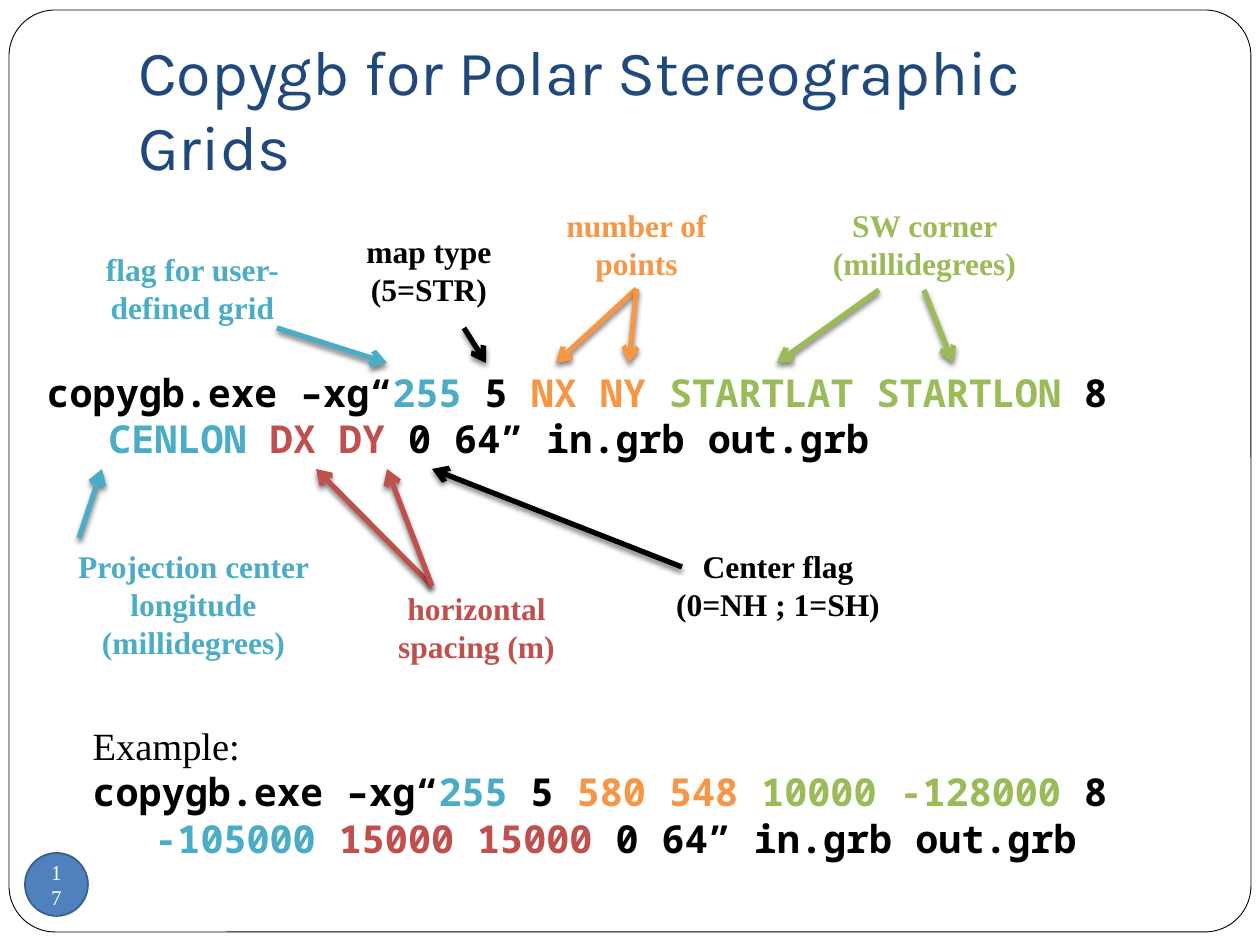
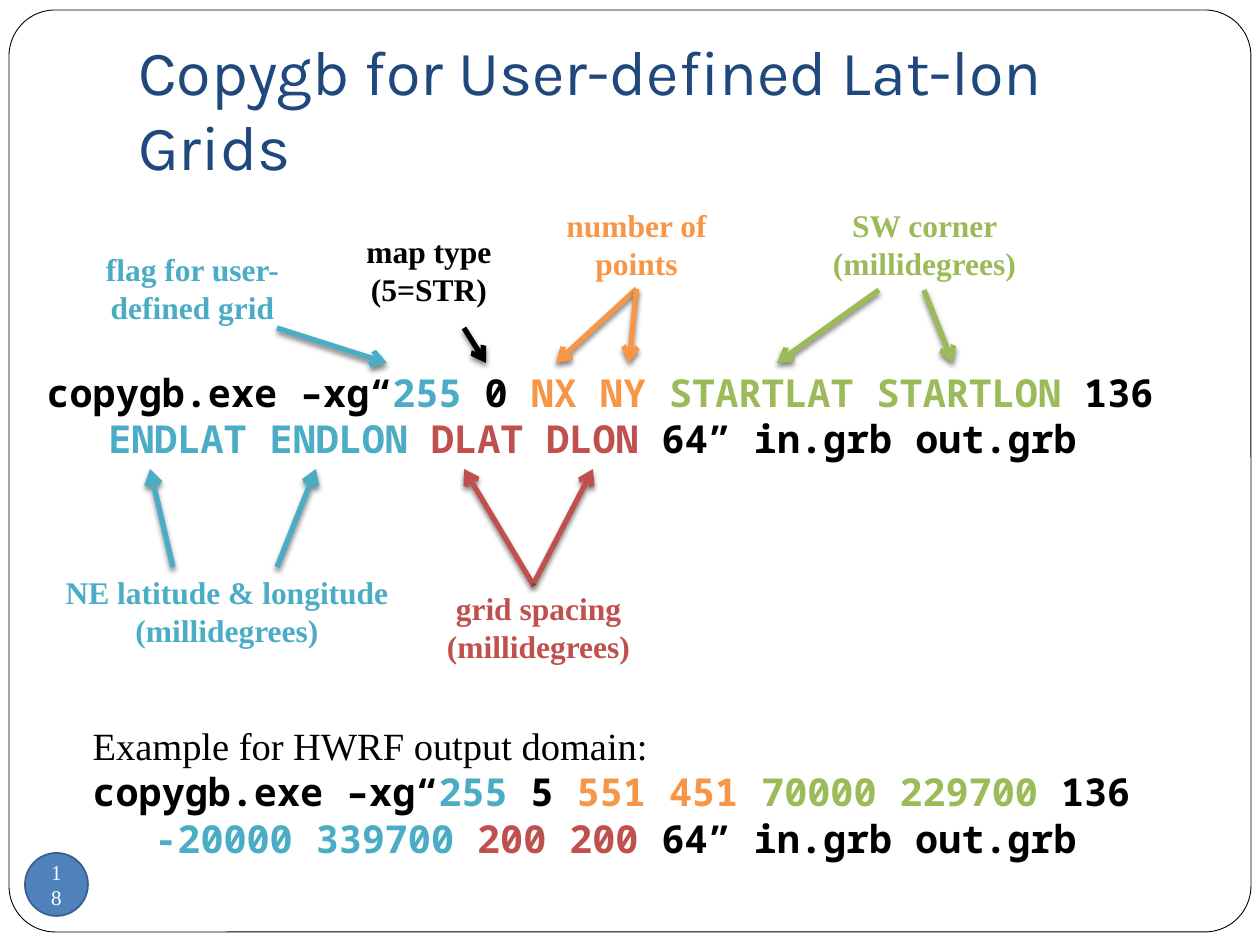
"""Build two annotated slides on the copygb command for user-defined grids."""
from dataclasses import dataclass

from lxml.etree import SubElement
from pptx import Presentation
from pptx.dml.color import RGBColor
from pptx.enum.shapes import MSO_CONNECTOR as Connector, MSO_SHAPE as Shape
from pptx.enum.text import MSO_ANCHOR as Anchor, PP_ALIGN as Align
from pptx.oxml.ns import qn
from pptx.util import Emu, Inches, Pt


@dataclass(frozen=True)
class Theme:
    """Colours, fonts and type sizes shared by the slides."""
    white: str = "FFFFFF"
    black: str = "000000"
    navy: str = "1F497D"
    blue: str = "4F81BD"
    blue_edge: str = "3A5F8C"
    teal: str = "4BACC6"
    orange: str = "F79646"
    green: str = "9BBB59"
    red: str = "C0504D"
    heading: str = "Karla"
    body: str = "Times New Roman"
    code: str = "Noto Sans Mono"
    title_size: int = 36
    code_size: int = 22
    label_size: int = 18
    number_size: int = 12


THEME = Theme()
BLACK, TEAL, ORANGE, GREEN, RED = THEME.black, THEME.teal, THEME.orange, THEME.green, THEME.red

PX_PER_INCH = 126
SLIDE_SIZE = 1260, 945
FRAME = 9, 10, 1242, 922
NUMBER_BADGE = 25, 853, 63, 63
TITLE_BOX = 126, 38, 1071, 158
COMMAND_BOX = 33, 363, 1192, 106
EXAMPLE_BOX = 79, 716, 1192, 152
LABEL_LINE, LABEL_PADDING = 38, 13
BOTTOM_MIDDLE = None

# label: text, colour, (left, top, width), lines, arrows as (start, tip x)
SHARED_LABELS = [
    ("flag for user-defined grid", TEAL, (69, 244, 247), 2, [((277, 328), 387)]),
    ("map type (5=STR)", BLACK, (354, 226, 150), 2, [((464, 328), 486)]),
    ("number of points", ORANGE, (534, 200, 205), 2,
     [(BOTTOM_MIDDLE, 556), (BOTTOM_MIDDLE, 629)]),
    ("SW corner (millidegrees)", GREEN, (809, 200, 231), 2,
     [((879, 290), 777), ((924, 290), 953)]),
]

SLIDES = [
    {
        "number": 17,
        "title": "Copygb for Polar Stereographic Grids",
        "command": [
            ("copygb.exe –xg“", BLACK), ("255 ", TEAL), ("5 ", BLACK), ("NX NY ", ORANGE),
            ("STARTLAT STARTLON", GREEN), (" 8 ", BLACK), ("CENLON ", TEAL),
            ("DX DY ", RED), ("0 64” in.grb out.grb", BLACK),
        ],
        "example_heading": "Example:",
        "example": [
            ("copygb.exe –xg“", BLACK), ("255", TEAL), (" 5 ", BLACK), ("580 548 ", ORANGE),
            ("10000 -128000 ", GREEN), ("8 ", BLACK), ("-105000 ", TEAL),
            ("15000 15000 ", RED), ("0 64” in.grb out.grb", BLACK),
        ],
        "labels": [
            ("Projection center longitude (millidegrees)", TEAL, (50, 541, 287), 3,
             [((79, 538), 102)]),
            ("horizontal spacing (m)", RED, (360, 583, 233), 2,
             [((432, 586), 316), ((432, 586), 387)]),
            ("Center flag\v(0=NH ; 1=SH)", BLACK, (636, 541, 284), 2, [((682, 567), 432)]),
        ],
    },
    {
        "number": 18,
        "title": "Copygb for User-defined Lat-lon Grids",
        "command": [
            ("copygb.exe –xg“", BLACK), ("255 ", TEAL), ("0 ", BLACK), ("NX NY ", ORANGE),
            ("STARTLAT STARTLON", GREEN), (" 136 ", BLACK), ("ENDLAT ENDLON ", TEAL),
            ("DLAT DLON ", RED), ("64” in.grb out.grb", BLACK),
        ],
        "example_heading": "Example for HWRF output domain:",
        "example": [
            ("copygb.exe –xg“", BLACK), ("255", TEAL), (" 5 ", BLACK), ("551 451 ", ORANGE),
            ("70000 229700 ", GREEN), ("136 ", BLACK), ("-20000 339700 ", TEAL),
            ("200 200", RED), (" 64” in.grb out.grb", BLACK),
        ],
        "labels": [
            ("NE latitude & longitude\n(millidegrees)", TEAL, (11, 567, 432), 2,
             [((173, 567), 150), ((277, 567), 316)]),
            ("grid spacing (millidegrees)", RED, (422, 583, 233), 2,
             [((534, 586), 464), ((534, 583), 593)]),
        ],
    },
]


def px(*lengths):
    return [Emu(round(length * 914400 / PX_PER_INCH)) for length in lengths]


def rgb(colour):
    return RGBColor.from_string(colour)


def set_font(font, name, size, colour=None, bold=False):
    font.name, font.size, font.bold = name, Pt(size), bold
    if colour:
        font.color.rgb = rgb(colour)


def add_panel(slide, kind, box, fill, line, line_width):
    shape = slide.shapes.add_shape(kind, *px(*box))
    shape.shadow.inherit = False
    shape.fill.solid()
    shape.fill.fore_color.rgb = rgb(fill)
    shape.line.color.rgb = rgb(line)
    shape.line.width = Pt(line_width)
    return shape


def add_text_box(slide, box):
    shape = slide.shapes.add_textbox(*px(*box))
    shape.text_frame.word_wrap = True
    return shape


def add_base(slide, number, title):
    frame = add_panel(slide, Shape.ROUNDED_RECTANGLE, FRAME, THEME.white, BLACK, 0.5)
    frame.adjustments[0] = 0.05
    badge = add_panel(slide, Shape.OVAL, NUMBER_BADGE, THEME.blue, THEME.blue_edge, 1)
    badge.text_frame.text = str(number)
    paragraph = badge.text_frame.paragraphs[0]
    paragraph.alignment = Align.CENTER
    set_font(paragraph.font, THEME.body, THEME.number_size, THEME.white)

    text_frame = add_text_box(slide, TITLE_BOX).text_frame
    text_frame.vertical_anchor = Anchor.BOTTOM
    text_frame.margin_bottom = Inches(0.1)
    text_frame.text = title
    set_font(text_frame.paragraphs[0].font, THEME.heading, THEME.title_size, THEME.navy)


def hang(paragraph):
    properties = paragraph._p.get_or_add_pPr()
    properties.set("marL", str(Inches(0.5)))
    properties.set("indent", str(Inches(-0.49)))


def write_command(paragraph, parts):
    hang(paragraph)
    set_font(paragraph.font, THEME.code, THEME.code_size, bold=True)
    for text, colour in parts:
        run = paragraph.add_run()
        run.text = text
        run.font.color.rgb = rgb(colour)


def add_example(slide, heading, parts):
    text_frame = add_text_box(slide, EXAMPLE_BOX).text_frame
    text_frame.text = heading
    first = text_frame.paragraphs[0]
    hang(first)
    set_font(first.font, THEME.body, THEME.code_size, BLACK)
    write_command(text_frame.add_paragraph(), parts)


def add_label(slide, text, colour, place, lines):
    label = add_text_box(slide, (*place, LABEL_PADDING + LABEL_LINE * lines))
    label.text_frame.text = text
    for paragraph in label.text_frame.paragraphs:
        paragraph.alignment = Align.CENTER
        set_font(paragraph.font, THEME.body, THEME.label_size, colour, bold=True)
    return label


def add_arrow(slide, label, colour, start, tip):
    arrow = slide.shapes.add_connector(Connector.STRAIGHT, *px(*(start or tip), *tip))
    if start is BOTTOM_MIDDLE:
        arrow.begin_connect(label, 2)
    arrow.line.color.rgb = rgb(colour)
    arrow.line.width = Pt(3)
    SubElement(arrow.line._get_or_add_ln(), qn("a:tailEnd"), type="arrow")
    effects = SubElement(arrow._element.spPr, qn("a:effectLst"))
    shadow = SubElement(effects, qn("a:outerShdw"), blurRad=str(Pt(3)), dist=str(Pt(2)),
                        dir="5400000", rotWithShape="0")
    shade = SubElement(shadow, qn("a:srgbClr"), val=BLACK)
    SubElement(shade, qn("a:alpha"), val="50000")


def add_labels(slide, labels):
    command_top = COMMAND_BOX[1]
    command_bottom = command_top + COMMAND_BOX[3]
    for text, colour, place, lines, arrows in labels:
        label = add_label(slide, text, colour, place, lines)
        tip_y = command_top if place[1] < command_top else command_bottom
        for start, tip_x in arrows:
            add_arrow(slide, label, colour, start, (tip_x, tip_y))


def main():
    presentation = Presentation()
    presentation.slide_width, presentation.slide_height = px(*SLIDE_SIZE)
    for content in SLIDES:
        slide = presentation.slides.add_slide(presentation.slide_layouts[6])
        add_base(slide, content["number"], content["title"])
        command = add_text_box(slide, COMMAND_BOX)
        write_command(command.text_frame.paragraphs[0], content["command"])
        add_example(slide, content["example_heading"], content["example"])
        add_labels(slide, SHARED_LABELS + content["labels"])
    presentation.save("out.pptx")


if __name__ == "__main__":
    main()
